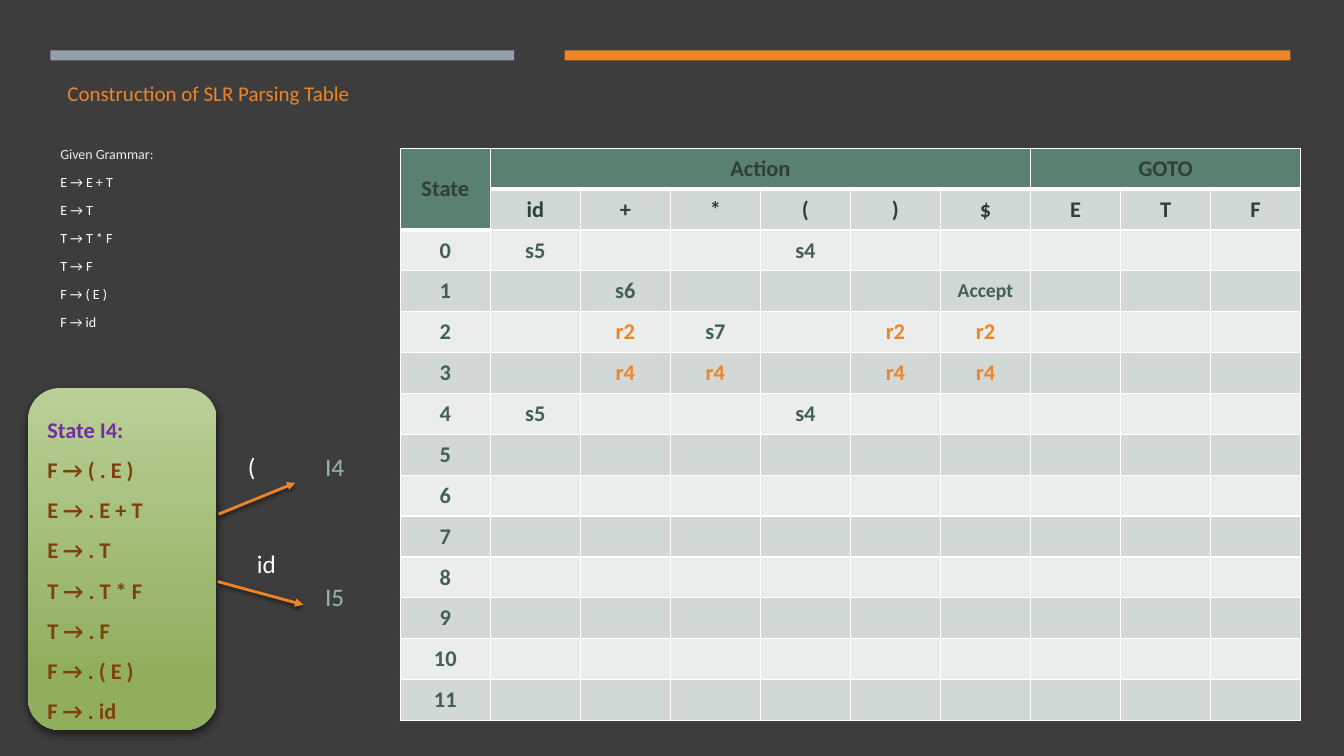
import pptx
import pptx.dml.color
import pptx.enum.dml
import pptx.enum.shapes
import pptx.enum.text
import pptx.oxml
import pptx.oxml.ns
import pptx.util

Inches = pptx.util.Inches
Pt = pptx.util.Pt
RGBColor = pptx.dml.color.RGBColor
Align = pptx.enum.text.PP_ALIGN
Anchor = pptx.enum.text.MSO_ANCHOR
Shape = pptx.enum.shapes.MSO_SHAPE

BACKGROUND = RGBColor(0x3D, 0x3D, 0x3D)
ORANGE = RGBColor(0xED, 0x84, 0x28)
GREY = RGBColor(0x96, 0x9F, 0xA7)
WHITE = RGBColor(0xFF, 0xFF, 0xFF)
OFF_WHITE = RGBColor(0xEB, 0xEB, 0xEB)
HEADER_FILL = RGBColor(0x5A, 0x80, 0x71)
HEADER_TEXT = RGBColor(0x2D, 0x40, 0x39)
CELL_TEXT = RGBColor(0x44, 0x60, 0x55)
BAND_DARK = RGBColor(0xD2, 0xD8, 0xD5)
BAND_LIGHT = RGBColor(0xEA, 0xED, 0xEB)
PANEL_TOP = RGBColor(0xBA, 0xCF, 0x97)
PANEL_BOTTOM = RGBColor(0x91, 0xAE, 0x5E)
PURPLE = RGBColor(0x70, 0x30, 0xA0)
BROWN = RGBColor(0x7F, 0x41, 0x0A)
SAGE = RGBColor(0x98, 0xB6, 0xAA)

GRAMMAR = ["E → E + T", "E → T", "T → T * F", "T → F", "F → ( E )", "F → id"]
STATE_ITEMS = ["F → ( . E )", "E → . E + T", "E → . T", "T → . T * F",
               "T → . F", "F → . ( E )", "F → . id"]
SYMBOLS = ["id", "+", "*", "(", ")", "$", "E", "T", "F"]
ACTIONS = {
    0: {"id": "s5", "(": "s4"},
    1: {"+": "s6", "$": "Accept"},
    2: {"+": "r2", "*": "s7", ")": "r2", "$": "r2"},
    3: {"+": "r4", "*": "r4", ")": "r4", "$": "r4"},
    4: {"id": "s5", "(": "s4"},
}
STATE_COUNT = 12


def append_xml(parent, xml):
    namespaces = pptx.oxml.ns.nsdecls("a")
    parent.append(pptx.oxml.parse_xml(xml.replace(" ", f" {namespaces} ", 1)))


def add_shadow(shape, alpha, blur, distance, angle):
    append_xml(shape._element.spPr, f'''<a:effectLst ><a:outerShdw blurRad="{Pt(blur)}"
        dist="{Pt(distance)}" dir="{angle * 60000}" algn="ctr" rotWithShape="0">
        <a:srgbClr val="000000"><a:alpha val="{alpha * 1000}"/></a:srgbClr>
        </a:outerShdw></a:effectLst>''')


def write(para, text, size, color, bold=False):
    span = para.add_run()
    span.text = text
    span.font.name = "Calibri"
    span.font.size = Pt(size)
    span.font.bold = bold
    span.font.color.rgb = color


def paragraphs(frame, count):
    return [frame.paragraphs[0]] + [frame.add_paragraph() for _ in range(count - 1)]


def add_text_box(page, left, top, width, height, anchor=Anchor.TOP):
    box = page.shapes.add_textbox(Inches(left), Inches(top), Inches(width), Inches(height))
    box.text_frame.word_wrap = True
    box.text_frame.vertical_anchor = anchor
    return box.text_frame


def add_label(page, left, top, width, height, text, size, color,
              align=Align.LEFT, anchor=Anchor.TOP):
    para = add_text_box(page, left, top, width, height, anchor).paragraphs[0]
    para.alignment = align
    write(para, text, size, color)


def add_bar(page, left, top, width, height, color):
    bar = page.shapes.add_shape(Shape.RECTANGLE, Inches(left), Inches(top),
                                Inches(width), Inches(height))
    bar.shadow.inherit = False
    bar.fill.solid()
    bar.fill.fore_color.rgb = color
    bar.line.fill.background()


def add_header(page, left, top):
    add_bar(page, left, top, 4.6, 0.1, GREY)
    add_bar(page, left + 5.1, top, 7.2, 0.1, ORANGE)
    add_label(page, left + 0.07, top + 0.19, 3.51, 0.47, "Construction of SLR Parsing Table",
              15, ORANGE, anchor=Anchor.MIDDLE)


def add_grammar(page, left, top, width, height):
    frame = add_text_box(page, left, top, width, height, Anchor.MIDDLE)
    lines = ["Given Grammar:"] + GRAMMAR
    for index, (para, line) in enumerate(zip(paragraphs(frame, len(lines)), lines)):
        para.space_before = Pt(2 if index else 0)
        para.space_after = Pt(6)
        write(para, line, 10, WHITE if index else OFF_WHITE)


def style_cell(cell, fill, top_rule, bottom_rule):
    properties = cell._tc.get_or_add_tcPr()
    for side, width in (("L", 1), ("R", 1), ("T", top_rule), ("B", bottom_rule)):
        append_xml(properties, f'''<a:ln{side} w="{Pt(width)}"><a:solidFill>
            <a:srgbClr val="{WHITE}"/></a:solidFill></a:ln{side}>''')
    cell.fill.solid()
    cell.fill.fore_color.rgb = fill
    cell.vertical_anchor = Anchor.MIDDLE
    cell.margin_top = cell.margin_bottom = Inches(0.04)


def write_cell(cell, text, color):
    para = cell.text_frame.paragraphs[0]
    para.alignment = Align.CENTER
    write(para, text, 14 if text == "Accept" else 16, color, True)


def add_parsing_table(page, left, top, width, height):
    rows, columns = STATE_COUNT + 2, len(SYMBOLS) + 1
    table = page.shapes.add_table(rows, columns, Inches(left), Inches(top),
                                  Inches(width), Inches(height)).table
    for row in table.rows:
        row.height = Inches(height / rows)
    for column in table.columns:
        column.width = Inches(width / columns)
    for row in range(rows):
        for column in range(columns):
            header = row == 0 or (row == 1 and column == 0)
            header_above = row == 1 or (row == 2 and column == 0)
            band = BAND_DARK if row % 2 else BAND_LIGHT
            style_cell(table.cell(row, column), HEADER_FILL if header else band,
                       3 if header_above else 1, 3 if header else 1)
    for text, first, last_row, last_column in (
            ("State", 0, 1, 0), ("Action", 1, 0, 6), ("GOTO", 7, 0, 9)):
        table.cell(0, first).merge(table.cell(last_row, last_column))
        write_cell(table.cell(0, first), text, HEADER_TEXT)
    for column, symbol in enumerate(SYMBOLS, 1):
        write_cell(table.cell(1, column), symbol, HEADER_TEXT)
    for state in range(STATE_COUNT):
        write_cell(table.cell(state + 2, 0), str(state), CELL_TEXT)
        for symbol, action in ACTIONS.get(state, {}).items():
            color = ORANGE if action.startswith("r") else CELL_TEXT
            write_cell(table.cell(state + 2, SYMBOLS.index(symbol) + 1), action, color)


def add_state_panel(page, left, top, width, height):
    panel = page.shapes.add_shape(Shape.ROUNDED_RECTANGLE, Inches(left), Inches(top),
                                  Inches(width), Inches(height))
    panel.line.fill.background()
    panel.fill.gradient()
    panel.fill.gradient_angle = 270
    for stop, color, position in zip(panel.fill.gradient_stops,
                                     (PANEL_TOP, PANEL_BOTTOM), (0, 0.84)):
        stop.color.rgb = color
        stop.position = position
    add_shadow(panel, 60, 7, 3, 84)
    frame = panel.text_frame
    frame.word_wrap = True
    frame.vertical_anchor = Anchor.TOP
    lines = ["State I4:"] + STATE_ITEMS
    for index, (para, line) in enumerate(zip(paragraphs(frame, len(lines)), lines)):
        para.alignment = Align.LEFT
        para.line_spacing = 1.5
        write(para, line, 16, BROWN if index else PURPLE, True)


def add_arrow(page, start, end):
    arrow = page.shapes.add_connector(pptx.enum.shapes.MSO_CONNECTOR.STRAIGHT,
                                      *(Inches(value) for value in start + end))
    arrow.line.color.rgb = ORANGE
    arrow.line.width = Pt(2)
    append_xml(arrow.line._get_or_add_ln(), '<a:tailEnd type="triangle"/>')
    add_shadow(arrow, 55, 3, 2, 90)


def add_transitions(page, left, top):
    add_arrow(page, (left + 0.01, top + 0.67), (left + 0.77, top + 0.36))
    add_arrow(page, (left, top + 1.34), (left + 0.85, top + 1.57))
    add_label(page, left + 0.2, top, 0.41, 0.4, "(", 18, WHITE)
    add_label(page, left + 0.29, top + 0.96, 0.57, 0.4, "id", 18, WHITE)
    for target, offset in (("I4", 0), ("I5", 1.29)):
        add_label(page, left + 0.86, top + offset, 0.6, 0.4, target, 18, SAGE, Align.CENTER)


def main():
    deck = pptx.Presentation()
    deck.slide_width = Inches(13.33)
    deck.slide_height = Inches(7.5)
    page = deck.slides.add_slide(deck.slide_layouts[6])
    page.background.fill.solid()
    page.background.fill.fore_color.rgb = BACKGROUND
    add_header(page, 0.5, 0.5)
    add_parsing_table(page, 3.97, 1.47, 8.93, 5.68)
    add_grammar(page, 0.5, 1.31, 2.06, 2.1)
    add_state_panel(page, 0.28, 3.85, 1.87, 3.39)
    add_transitions(page, 2.16, 4.43)
    deck.save("out.pptx")


if __name__ == "__main__":
    main()
